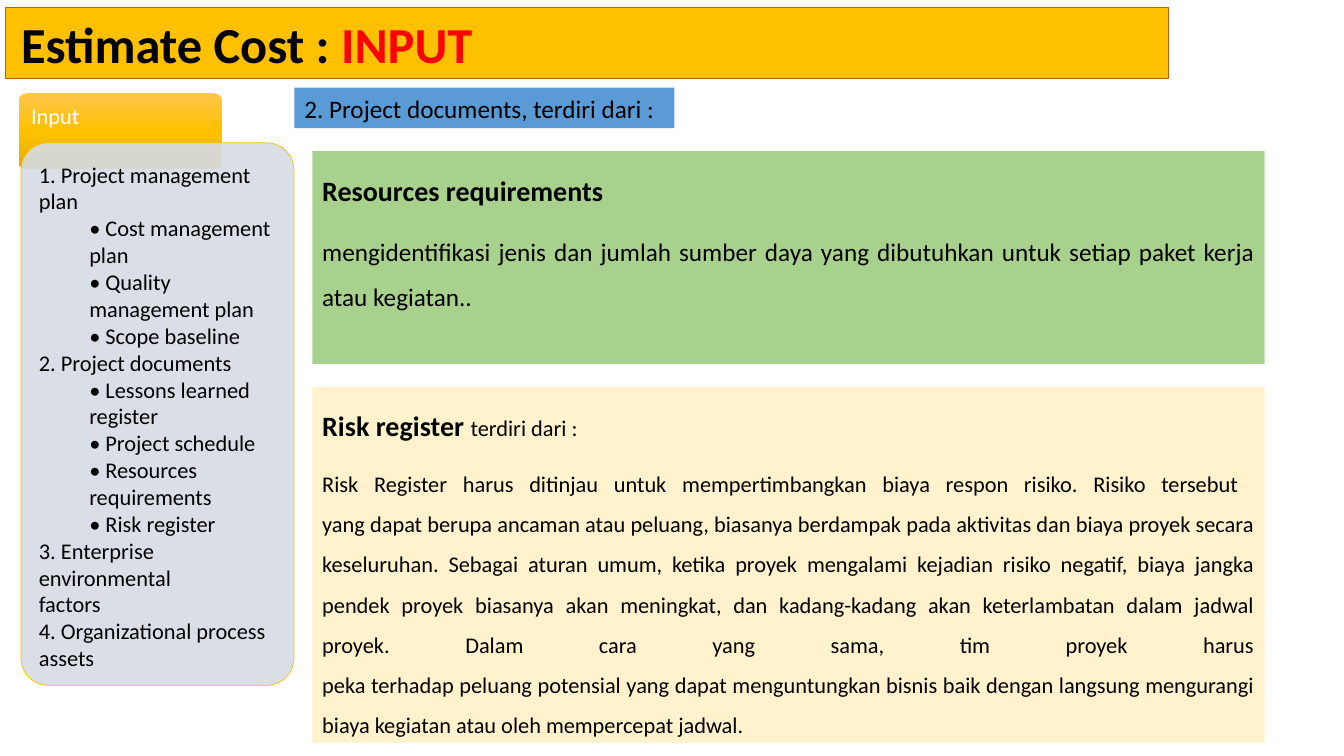
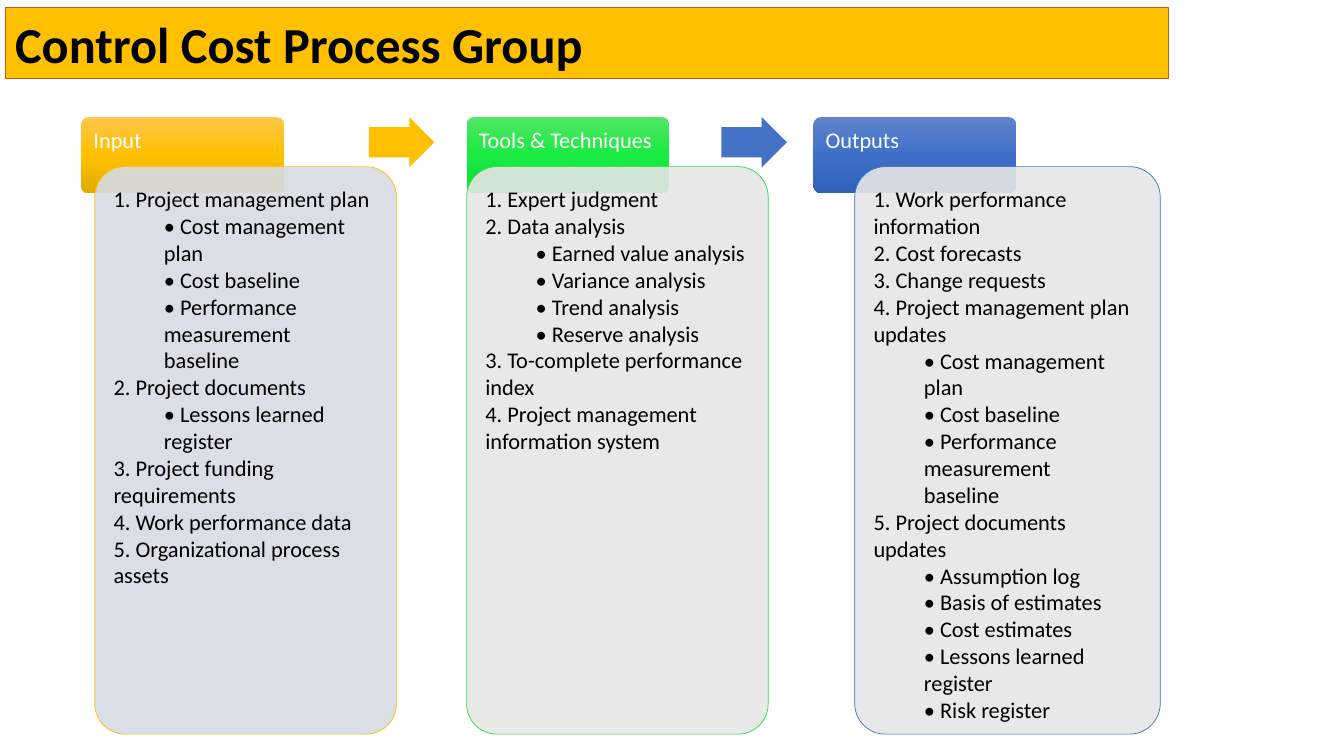
from copy import deepcopy

from pptx import Presentation
from pptx import util as u
from pptx.dml.color import RGBColor
from pptx.enum import shapes, text
from pptx.oxml.ns import qn
from pptx.oxml.xmlchemy import OxmlElement

GOLD, GREEN, BLUE = "FFC000", "23E148", "4472C4"
MIST, GREY = "D6DCE5", "E7E6E6"
BLACK, WHITE, RED = "000000", "FFFFFF", "FF0000"
FADE = {
    GOLD: ("FFC64B", "FFC000", "E3AB00"),
    GREEN: ("51E663", "19EB42", "0CDB34"),
    BLUE: ("6183CB", "3E70CA", "3062BB"),
}
KIND = shapes.MSO_SHAPE


def color(code):
    return RGBColor.from_string(code)


class Deck:
    font = "Calibri"
    drop = 1.25  # from the top of a tag to the top of its card

    def __init__(self):
        self.prs = Presentation()
        self.prs.slide_width, self.prs.slide_height = u.Cm(33.87), u.Cm(19.05)

    def page(self, layout, title, accent="", left=0.23):
        """Start a slide with its gold title band."""
        self.slide = self.prs.slides.add_slide(self.prs.slide_layouts[layout])
        band = self.slide.shapes.title
        self.place(band, 0.15, 0.2, 29.29, 1.78)
        self.paint(band, GOLD, "C55A11", 0.75)
        frame = self.frame(band, left)
        frame.vertical_anchor = text.MSO_ANCHOR.MIDDLE
        frame.text = title
        self.style(frame.paragraphs[0], 36, bold=True)
        if accent:
            self.add(frame.paragraphs[0], accent, 36, RED, True)

    # Shapes
    def place(self, item, x, y, w, h):
        item.left, item.top, item.width, item.height = map(u.Cm, (x, y, w, h))

    def paint(self, item, fill, line=None, width=0.5):
        item.fill.solid()
        item.fill.fore_color.rgb = color(fill)
        if line:
            item.line.color.rgb = color(line)
            item.line.width = u.Pt(width)
        else:
            item.line.fill.background()

    def shape(self, kind, x, y, w, h, fill, line=None):
        item = self.slide.shapes.add_shape(kind, *map(u.Cm, (x, y, w, h)))
        item.shadow.inherit = False
        self.paint(item, fill, line)
        return item

    # Text
    def frame(self, item, left=0.25, top=0.13, low=0.13):
        frame = item.text_frame
        frame.word_wrap = True
        frame.auto_size = text.MSO_AUTO_SIZE.NONE
        frame.vertical_anchor = text.MSO_ANCHOR.TOP
        frame.margin_left, frame.margin_right = u.Cm(left), u.Cm(0.25)
        frame.margin_top, frame.margin_bottom = u.Cm(top), u.Cm(low)
        return frame

    def face(self, run, size, tone, bold):
        run.font.name, run.font.size, run.font.bold = self.font, u.Pt(size), bold
        run.font.color.rgb = color(tone)

    def add(self, para, words, size, tone=BLACK, bold=False):
        run = para.add_run()
        run.text = words
        self.face(run, size, tone, bold)

    def style(self, para, size, tone=BLACK, bold=False, indent=0):
        props = para._p.get_or_add_pPr()
        props.set("marL", str(u.Cm(indent)))
        props.set("indent", "0")
        props.append(OxmlElement("a:buNone"))
        para.alignment = text.PP_ALIGN.LEFT
        para.space_before = u.Pt(0)
        for run in para.runs:
            self.face(run, size, tone, bold)

    # Parts of a slide
    def label(self, words, x, y, w, h, fill):
        frame = self.frame(self.shape(KIND.RECTANGLE, x, y, w, h, fill))
        frame.word_wrap = False
        frame.text = words
        self.style(frame.paragraphs[0], 18)

    def panel(self, item, head, tail, words, size):
        """Heading and justified text at one and a half lines."""
        frame = self.frame(item)
        frame.text = head
        top, main = frame.paragraphs[0], frame.add_paragraph()
        main.text = words
        self.style(top, 20, bold=True)
        self.style(main, size)
        if tail:
            self.add(top, tail, 16)
        for para in (top, main):
            para.alignment = text.PP_ALIGN.JUSTIFY
            para.line_spacing = 1.5
        main.space_before = u.Pt(10)

    def tag(self, words, x, y, tone):
        item = self.shape(KIND.ROUNDED_RECTANGLE, x, y, 5.11, 1.92, tone)
        item.adjustments[0] = 0.1
        item.fill.gradient()
        item.fill.gradient_angle = 270
        stops = item.element.spPr.find(".//" + qn("a:gsLst"))
        stops.insert(1, deepcopy(stops[0]))
        for i, stop in enumerate(item.fill.gradient_stops):
            stop.position = i / 2
            stop.color.rgb = color(FADE[tone][i])
        frame = self.frame(item, top=0.25, low=0.76)
        frame.text = words
        para = frame.paragraphs[0]
        self.style(para, 16, WHITE)
        para.line_spacing = 0.9

    def card(self, lines, x, y, w, h, fill, tone):
        item = self.shape(KIND.ROUNDED_RECTANGLE, x, y, w, h, fill, tone)
        item.adjustments[0] = 0.1
        alpha = OxmlElement("a:alpha")
        alpha.set("val", "90000")
        item.element.spPr.find(qn("a:solidFill"))[0].append(alpha)
        frame = self.frame(item, top=0.25, low=0.25)
        for i, line in enumerate(lines):
            para = frame.add_paragraph() if i else frame.paragraphs[0]
            para.text = line
            sub = line.startswith("•")
            para.level = int(sub)
            self.style(para, 16, indent=1.27 if sub else 0)

    def stage(self, name, lines, x, y, shift, w, h, fill, tone):
        self.tag(name, x, y, tone)
        self.card(lines, x + shift, y + self.drop, w, h, fill, tone)

    def arrow(self, x, y, tone):
        item = self.shape(KIND.RIGHT_ARROW, x, y, 1.65, 1.27, tone)
        item.adjustments[0], item.adjustments[1] = 0.6, 0.5


NEEDS = [
    "1. Project management plan",
    "• Cost management plan",
    "• Quality management plan",
    "• Scope baseline",
    "2. Project documents",
    "• Lessons learned register",
    "• Project schedule",
    "• Resources requirements",
    "• Risk register",
    "3. Enterprise environmental\nfactors",
    "4. Organizational process assets",
]
RISK = (
    "Risk Register harus ditinjau untuk mempertimbangkan biaya respon risiko. "
    "Risiko tersebut \nyang dapat berupa ancaman atau peluang, biasanya "
    "berdampak pada aktivitas dan biaya proyek secara keseluruhan. Sebagai "
    "aturan umum, ketika proyek mengalami kejadian risiko negatif, biaya "
    "jangka pendek proyek biasanya akan meningkat, dan kadang-kadang akan "
    "keterlambatan dalam jadwal proyek. Dalam cara yang sama, tim proyek "
    "harus\npeka terhadap peluang potensial yang dapat menguntungkan bisnis "
    "baik dengan langsung mengurangi biaya kegiatan atau oleh mempercepat "
    "jadwal."
)
INPUT = [
    "1. Project management plan",
    "• Cost management plan",
    "• Cost baseline",
    "• Performance measurement\nbaseline",
    "2. Project documents",
    "• Lessons learned register",
    "3. Project funding requirements",
    "4. Work performance data",
    "5. Organizational process assets",
]
TOOLS = [
    "1. Expert judgment",
    "2. Data analysis",
    "• Earned value analysis",
    "• Variance analysis",
    "• Trend analysis",
    "• Reserve analysis",
    "3. To-complete performance\nindex",
    "4. Project management\ninformation system",
]
OUTPUT = [
    "1. Work performance\ninformation",
    "2. Cost forecasts",
    "3. Change requests",
    "4. Project management plan\nupdates",
    "• Cost management plan",
    "• Cost baseline",
    "• Performance measurement\nbaseline",
    "5. Project documents updates",
    "• Assumption log",
    "• Basis of estimates",
    "• Cost estimates",
    "• Lessons learned register",
    "• Risk register",
]


def main():
    deck = Deck()

    # Estimate cost: input
    deck.page(1, "Estimate Cost : ", "INPUT", left=0.38)
    needs = deck.shape(KIND.RECTANGLE, 7.87, 3.81, 24, 5.36, "A9D18E")
    deck.panel(needs, "Resources requirements", "",
               "mengidentifikasi jenis dan jumlah sumber daya yang dibutuhkan "
               "untuk setiap paket kerja atau kegiatan..", 18)
    deck.stage("Input", NEEDS, 0.48, 2.35, 0.05, 6.88, 13.67, MIST, GOLD)
    deck.label("2. Project documents, terdiri dari :", 7.42, 2.21, 9.58, 1.02,
               "5B9BD5")
    risk = deck.slide.placeholders[1]
    deck.place(risk, 7.87, 9.75, 24, 8.97)
    deck.paint(risk, "FFF2CC")
    deck.panel(risk, "Risk register ", "terdiri dari :", RISK, 16)

    # Control cost: three stages and the arrows between them
    deck.page(5, "Control Cost Process Group")
    top = 2.95
    for name, lines, x, shift, w, fill, tone in (
        ("Input", INPUT, 2.05, 0.34, 7.6, MIST, GOLD),
        ("Tools & Techniques", TOOLS, 11.76, 0, 7.6, GREY, GREEN),
        ("Outputs", OUTPUT, 20.5, 1.04, 7.7, GREY, BLUE),
    ):
        deck.stage(name, lines, x, top, shift, w, 14.3, fill, tone)
    for x, tone in ((9.3, GOLD), (18.18, BLUE)):
        deck.arrow(x, top, tone)

    deck.prs.save("out.pptx")


if __name__ == "__main__":
    main()
